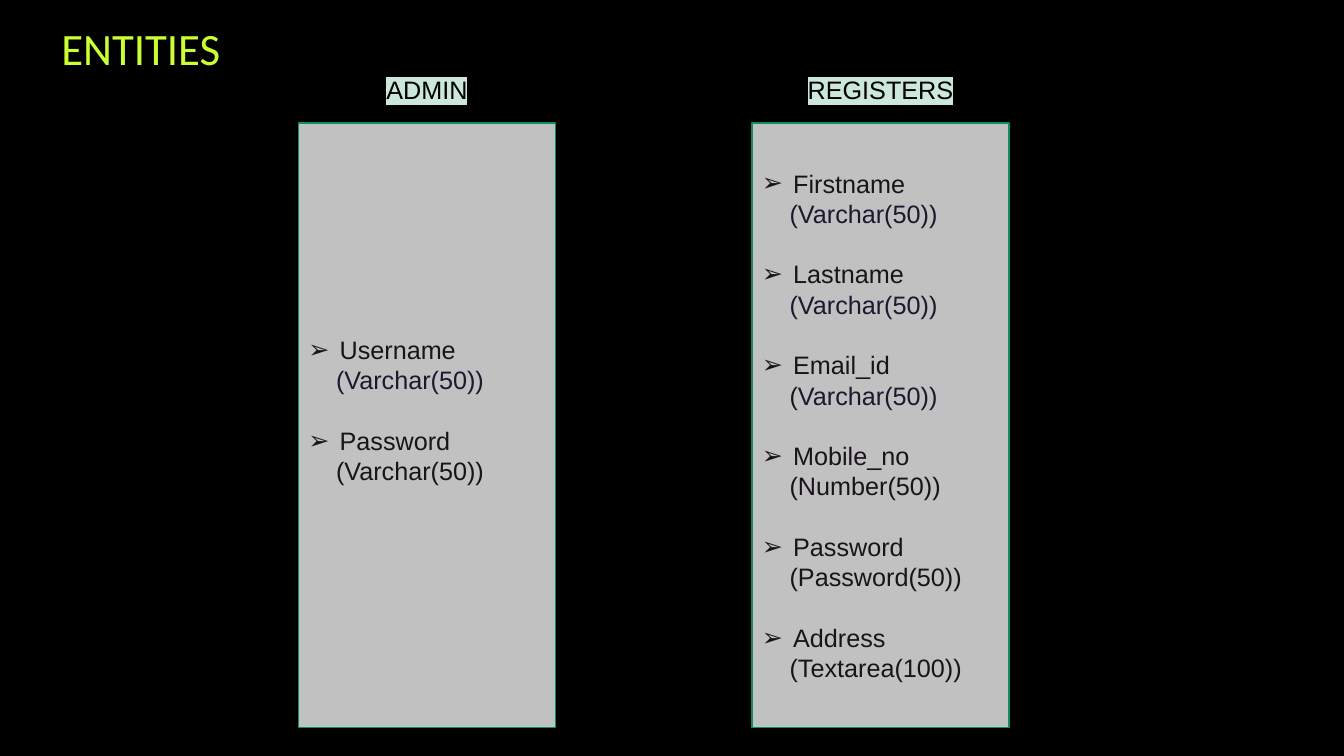
from lxml.etree import SubElement
from pptx import Presentation
from pptx.dml.color import RGBColor
from pptx.enum.shapes import MSO_SHAPE as Shape
from pptx.enum.text import MSO_ANCHOR as Anchor, MSO_AUTO_SIZE as Fit, PP_ALIGN as Align
from pptx.oxml.ns import qn
from pptx.util import Cm, Pt

HUES = {"back": "000000", "title": "CCFF33", "label": "000000", "mark": "CCE8DA",
        "box": "F2F2F2", "edge": "0E8D65", "ink": "19141A", "navy": "1B192E"}

TITLE = "ENTITIES"
# Each field: name, then the (text, hue) runs of its type
ENTITIES = [
    {"name": "ADMIN", "left": 7.52, "foot": 0.89, "fields": [
        ("Username", [("(Varchar(50))", "navy")]),
        ("Password", [("(Varchar(50))", "ink")]),
    ]},
    {"name": "REGISTERS", "left": 18.95, "foot": 0.13, "fields": [
        ("Firstname", [("(Varchar(50))", "navy")]),
        ("Lastname", [("(Varchar(50))", "navy")]),
        ("Email_id", [("(", "ink"), ("Varchar(50))", "navy")]),
        ("Mobile_no", [("(Number(50))", "ink")]),
        ("Password", [("(Password(50))", "ink")]),
        ("Address", [("(Textarea(100))", "ink")]),
    ]},
]
BOX_TOP, BOX_W, BOX_H = 3.1, 6.48, 15.24
TAG_TOP, TAG_W, TAG_H = 1.75, 4.34, 1.02
NAME_IN, TYPE_IN = 0.79, 0.7
GAP = 21.7


def rgb(hue):
    return RGBColor.from_string(HUES[hue])


def add_run(para, text, hue, size=18, face="Arial", mark=None):
    run = para.add_run()
    run.text = text
    font = run.font
    font.size = Pt(size)
    font.color.rgb = rgb(hue)
    if mark:
        light = SubElement(font._element, qn("a:highlight"))
        SubElement(light, qn("a:srgbClr"), val=HUES[mark])
    font.name = face


def indent(para, left, first=0):
    props = para._p.get_or_add_pPr()
    props.set("marL", str(Cm(left)))
    props.set("indent", str(Cm(first)))
    return props


def add_tag(slide, item):
    left = item["left"] + (BOX_W - TAG_W) / 2
    tag = slide.shapes.add_textbox(Cm(left), Cm(TAG_TOP), Cm(TAG_W), Cm(TAG_H))
    frame = tag.text_frame
    frame.word_wrap = True
    para = frame.paragraphs[0]
    para.alignment = Align.CENTER
    add_run(para, item["name"], "label", mark="mark")


def add_box(slide, item):
    box = slide.shapes.add_shape(Shape.RECTANGLE, Cm(item["left"]), Cm(BOX_TOP),
                                 Cm(BOX_W), Cm(BOX_H))
    box.shadow.inherit = False
    box.fill.solid()
    box.fill.fore_color.rgb = rgb("box")
    tint = box._element.spPr.find(qn("a:solidFill")).find(qn("a:srgbClr"))
    SubElement(tint, qn("a:alpha"), val="80000")
    box.line.color.rgb = rgb("edge")
    box.line.width = Pt(1)

    frame = box.text_frame
    frame.word_wrap = True
    frame.vertical_anchor = Anchor.MIDDLE
    frame.margin_bottom = Cm(item["foot"])
    for i, (name, kind) in enumerate(item["fields"]):
        para = frame.add_paragraph() if i else frame.paragraphs[0]
        para.alignment = Align.LEFT
        para.space_before = Pt(GAP if i else 0)
        props = indent(para, NAME_IN, -NAME_IN)
        SubElement(props, qn("a:buFont"), typeface="Arial")
        SubElement(props, qn("a:buChar"), char="➢")
        add_run(para, name, "ink")

        para = frame.add_paragraph()
        para.alignment = Align.LEFT
        indent(para, TYPE_IN)
        for text, hue in kind:
            add_run(para, text, hue)


def add_title(slide):
    title = slide.shapes.title
    title.left, title.top, title.width, title.height = Cm(1.29), Cm(0.39), Cm(5.56), Cm(1.63)
    frame = title.text_frame
    frame.auto_size = Fit.NONE
    frame.word_wrap = True
    frame.vertical_anchor = Anchor.TOP
    para = frame.paragraphs[0]
    para.alignment = Align.LEFT
    add_run(para, TITLE, "title", 32, "Calibri")


def main():
    deck = Presentation()
    deck.slide_width, deck.slide_height = Cm(33.87), Cm(19.05)
    slide = deck.slides.add_slide(deck.slide_layouts[5])
    slide.background.fill.solid()
    slide.background.fill.fore_color.rgb = rgb("back")
    add_title(slide)
    for item in ENTITIES:
        add_box(slide, item)
        add_tag(slide, item)
    deck.save("out.pptx")


if __name__ == "__main__":
    main()
